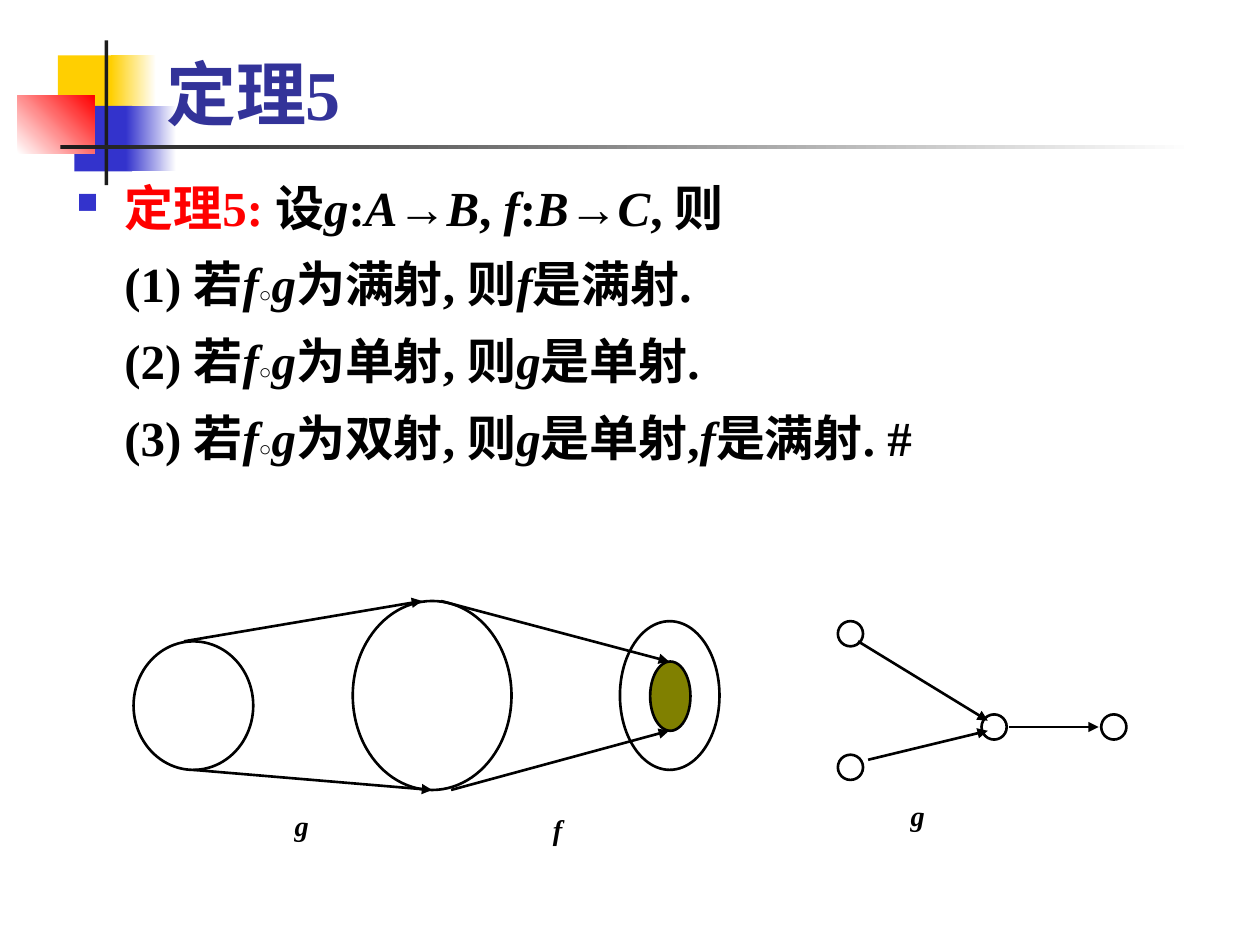
import itertools
import lxml.etree
import pptx
import pptx.dml.color
import pptx.enum.shapes
import pptx.enum.text
import pptx.oxml.ns
import pptx.util

RGB = pptx.dml.color.RGBColor
GOLD = RGB(0xFF, 0xCF, 0x01)
BLUE = RGB(0x33, 0x33, 0xCC)
NAVY = RGB(0x33, 0x33, 0x99)
RED = RGB(0xFF, 0, 0)
DARK = RGB(0x1C, 0x1C, 0x1C)
OLIVE = RGB(0x80, 0x80, 0)
BLACK = RGB(0, 0, 0)
WHITE = RGB(0xFF, 0xFF, 0xFF)
FORMS = pptx.enum.shapes.MSO_SHAPE
ANCHOR = pptx.enum.text.MSO_ANCHOR
qn = pptx.oxml.ns.qn

deck = pptx.Presentation()
deck.slide_width = pptx.util.Inches(10)
deck.slide_height = pptx.util.Inches(7.5)
UNIT = deck.slide_width / 100
slide = deck.slides.add_slide(deck.slide_layouts[6])
shapes = slide.shapes


def grid(*cells):
    return [round(cell * UNIT) for cell in cells]


def style(font, color, **extra):
    look = {"name": "Times New Roman", "size": pptx.util.Pt(28), "bold": True}
    for key, value in {**look, **extra}.items():
        setattr(font, key, value)
    font.color.rgb = color


bars = [
    ((4.6, 4.4, 4.8, 5.2), (GOLD,), 0),
    ((8.8, 4.4, 3.6, 5.2), (GOLD, WHITE), 0),
    ((5.9, 8.4, 4.6, 5.2), (BLUE,), 0),
    ((10, 8.4, 4, 5.2), (BLUE, WHITE), 0),
    ((1.4, 7.6, 6.1, 4.6), (WHITE, RED), 45),
    ((8.3, 3.2, 0.3, 11.5), (DARK,), 0),
    ((4.8, 11.5, 90, 0.3), (DARK, WHITE), 0),
]
for place, colors, angle in bars:
    bar = shapes.add_shape(FORMS.RECTANGLE, *grid(*place))
    bar.shadow.inherit = False
    bar.line.fill.background()
    if len(colors) == 1:
        bar.fill.solid()
        bar.fill.fore_color.rgb = colors[0]
    else:
        bar.fill.gradient()
        bar.fill.gradient_angle = angle
        for stop, color in zip(bar.fill.gradient_stops, colors):
            stop.color.rgb = color

title = shapes.add_textbox(*grid(12.2, 2.8, 85.2, 8.4)).text_frame
title.word_wrap = True
title.vertical_anchor = ANCHOR.BOTTOM
run = title.paragraphs[0].add_run()
run.text = "定理5"
style(run.font, NAVY, size=pptx.util.Pt(40))

body = shapes.add_textbox(*grid(5.1, 13.1, 91.3, 54.3)).text_frame
body.word_wrap = True
HEAD = "定理5: "
lines = [
    "设g:A→B, f:B→C, 则",
    "(1) 若f○g为满射, 则f是满射.",
    "(2) 若f○g为单射, 则g是单射.",
    "(3) 若f○g为双射, 则g是单射,f是满射. #",
]
for row, line in enumerate(lines):
    para = body.paragraphs[0] if row == 0 else body.add_paragraph()
    props = para._p.get_or_add_pPr()
    props.set("marL", str(grid(3.8)[0]))
    if row == 0:
        props.set("indent", str(grid(-3.8)[0]))
        tint = lxml.etree.SubElement(props, qn("a:buClr"))
        lxml.etree.SubElement(tint, qn("a:srgbClr"), val=str(BLUE))
        lxml.etree.SubElement(props, qn("a:buSzPct"), val="60000")
        lxml.etree.SubElement(props, qn("a:buChar"), char="■")
        run = para.add_run()
        run.text = HEAD
        style(run.font, RED)
    else:
        para.space_before = pptx.util.Pt(7)
    para.line_spacing = 1.1
    for kind, chars in itertools.groupby(line, lambda c: "○" if c == "○" else c.isascii() and c.isalpha()):
        run = para.add_run()
        run.text = "".join(chars)
        size = pptx.util.Pt(12 if kind == "○" else 28)
        style(run.font, BLACK, italic=kind is True, size=size)

DOT = 2
rings = [(10.6, 50.9, 9.5, 10.2), (28, 47.7, 12.6, 15), (49.2, 49.3, 7.9, 11.8)]
dots = [(66.5, 49.3), (66.5, 59.9), (77.9, 56.7), (87.4, 56.7)]
arrows = [
    (14.6, 50.9, 33.5, 47.7),
    (15.3, 61.1, 34.3, 62.7),
    (35, 47.7, 53.1, 52.5),
    (35.8, 62.7, 53.1, 58),
    (68.1, 50.9, 78.4, 57.2),
    (68.9, 60.3, 78.4, 58),
    (80.1, 57.7, 87.2, 57.7),
]
for ends in arrows:
    arrow = shapes.add_connector(pptx.enum.shapes.MSO_CONNECTOR.STRAIGHT, *grid(*ends))
    arrow.line.color.rgb = BLACK
    arrow.line.width = pptx.util.Pt(1.5)
    lxml.etree.SubElement(arrow.line._get_or_add_ln(), qn("a:tailEnd"), type="triangle")
    lxml.etree.SubElement(arrow._element.spPr, qn("a:effectLst"))

core = (51.6, 52.5, 3.2, 5.5)
for place in rings + [(*dot, DOT, DOT) for dot in dots] + [core]:
    oval = shapes.add_shape(FORMS.OVAL, *grid(*place))
    oval.shadow.inherit = False
    oval.line.color.rgb = BLACK
    oval.line.width = pptx.util.Pt(1.5)
    if place == core:
        oval.fill.solid()
        oval.fill.fore_color.rgb = OLIVE
    else:
        oval.fill.background()

for name, left, top in [("g", 71.3, 61.9), ("g", 22.4, 62.7), ("f", 42.9, 63)]:
    label = shapes.add_textbox(*grid(left, top, 9.4, 6.2)).text_frame
    label.word_wrap = True
    para = label.paragraphs[0]
    para.line_spacing = 1.1
    run = para.add_run()
    run.text = name
    style(run.font, BLACK, italic=True)
    run.font._element.set("baseline", "30000")

deck.save("out.pptx")
